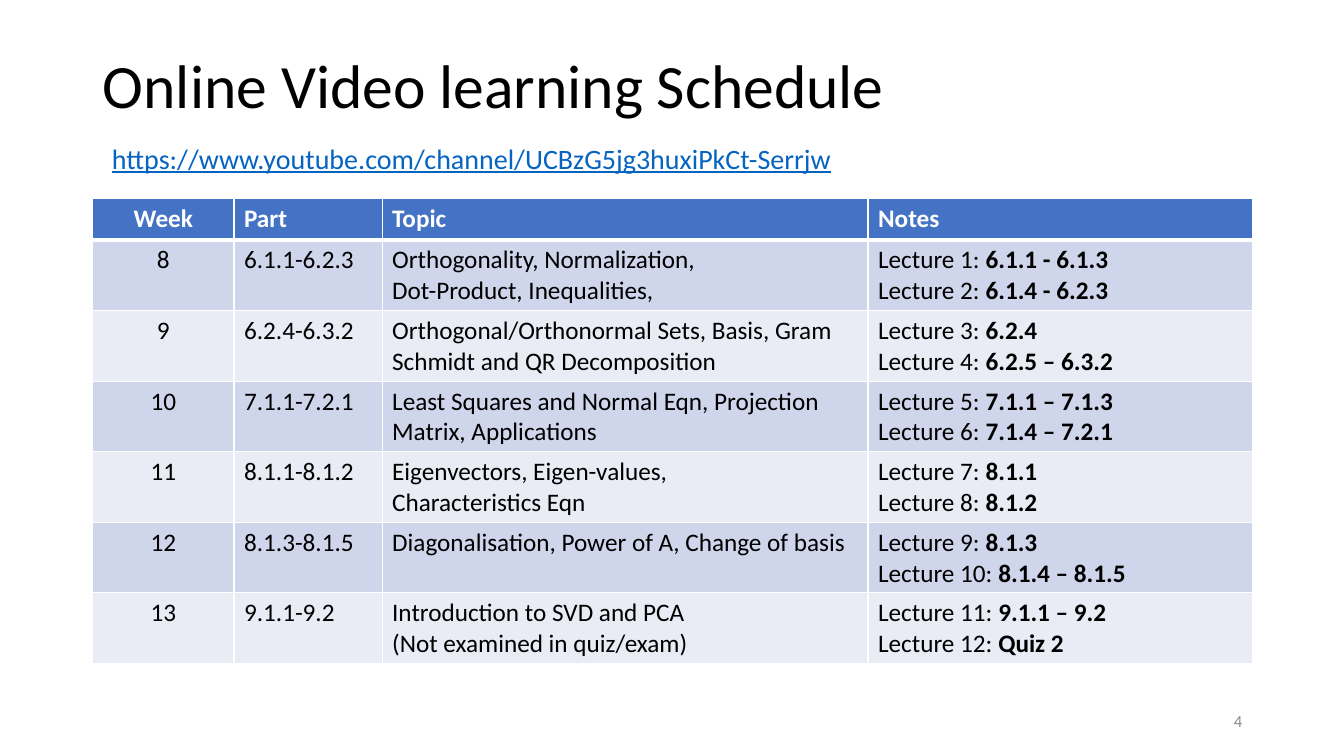
from lxml import etree
from pptx import Presentation
from pptx.dml.color import RGBColor
from pptx.enum import text as t
from pptx.oxml.ns import qn
from pptx.util import Inches, Pt

BLACK = RGBColor(0x00, 0x00, 0x00)
WHITE = RGBColor(0xFF, 0xFF, 0xFF)
GREY = RGBColor(0x8C, 0x8C, 0x8C)
LINK = RGBColor(0x05, 0x63, 0xC1)
HEADER = RGBColor(0x44, 0x72, 0xC4)
BANDS = [RGBColor(0xE9, 0xEB, 0xF5), RGBColor(0xCF, 0xD5, 0xEA)]

WIDTHS = [1.4, 1.47, 4.82, 3.81]
HEADINGS = ["Week", "Part", "Topic", "Notes"]
# Week, part, topic paragraphs (\v breaks a line), the two lectures' contents
WEEKS = [
    ("8", "6.1.1-6.2.3", "Orthogonality, Normalization,\vDot-Product, Inequalities,",
     ["6.1.1 - 6.1.3", "6.1.4 - 6.2.3"]),
    ("9", "6.2.4-6.3.2",
     "Orthogonal/Orthonormal Sets, Basis, Gram Schmidt and QR Decomposition",
     ["6.2.4", "6.2.5 – 6.3.2"]),
    ("10", "7.1.1-7.2.1", "Least Squares and Normal Eqn, Projection Matrix, Applications",
     ["7.1.1 – 7.1.3", "7.1.4 – 7.2.1"]),
    ("11", "8.1.1-8.1.2", "Eigenvectors, Eigen-values, \vCharacteristics Eqn",
     ["8.1.1", "8.1.2"]),
    ("12", "8.1.3-8.1.5", "Diagonalisation, Power of A, Change of basis",
     ["8.1.3", "8.1.4 – 8.1.5"]),
    ("13", "9.1.1-9.2", "Introduction to SVD and PCA\n(Not examined in quiz/exam)",
     ["9.1.1 – 9.2", "Quiz 2"]),
]


def style(r, size, color, **formats):
    r.font.color.rgb = color
    for name, value in {"name": "Calibri", "size": Pt(size), **formats}.items():
        setattr(r.font, name, value)


def add_borders(cell, bottom):
    tcPr = cell._tc.get_or_add_tcPr()
    for i, (side, width) in enumerate([("lnL", 1), ("lnR", 1), ("lnT", 1), ("lnB", bottom)]):
        ln = etree.Element(qn("a:" + side), w=str(Pt(width)))
        fill = etree.SubElement(ln, qn("a:solidFill"))
        etree.SubElement(fill, qn("a:srgbClr"), val=str(WHITE))
        tcPr.insert(i, ln)


prs = Presentation()
prs.slide_width, prs.slide_height = Inches(13.33), Inches(7.5)
s = prs.slides.add_slide(prs.slide_layouts[5])

# Title
title = s.shapes.title
title.left, title.top, title.width, title.height = map(Inches, (0.92, 0.15, 11.5, 1.45))
tf = title.text_frame
tf.text = "Online Video learning Schedule"
tf.vertical_anchor = t.MSO_ANCHOR.MIDDLE
tf.auto_size = t.MSO_AUTO_SIZE.NONE
p = tf.paragraphs[0]
p.alignment, p.line_spacing = t.PP_ALIGN.LEFT, 0.9
style(p.runs[0], 44, BLACK)

# Slide number
tf = s.shapes.add_textbox(*map(Inches, (9.42, 6.95, 3, 0.4))).text_frame
tf.word_wrap = True
tf.vertical_anchor = t.MSO_ANCHOR.MIDDLE
tf.text = "4"
tf.paragraphs[0].alignment = t.PP_ALIGN.RIGHT
style(tf.paragraphs[0].runs[0], 12, GREY)

# Schedule table
table = s.shapes.add_table(len(WEEKS) + 1, len(WIDTHS),
                           *map(Inches, (0.92, 1.97, 11.5, 4.61))).table
for col, width in zip(table.columns, WIDTHS):
    col.width = Inches(width)
for i, row in enumerate(table.rows):
    row.height = Inches(0.7 if i else 0.41)
    for j, cell in enumerate(row.cells):
        cell.fill.solid()
        cell.fill.fore_color.rgb = BANDS[i % 2] if i else HEADER
        add_borders(cell, 1 if i else 3)
        tf = cell.text_frame
        if i and j == 3:
            for k, content in enumerate(WEEKS[i - 1][3]):
                p = tf.add_paragraph() if k else tf.paragraphs[0]
                for words, bold in [(f"Lecture {2 * i - 1 + k}: ", False), (content, True)]:
                    r = p.add_run()
                    r.text = words
                    style(r, 18, BLACK, bold=bold)
            continue
        tf.text = WEEKS[i - 1][j] if i else HEADINGS[j]
        for p in tf.paragraphs:
            p.alignment = t.PP_ALIGN.LEFT if j else t.PP_ALIGN.CENTER
            for r in p.runs:
                style(r, 18, BLACK if i else WHITE, bold=i == 0)

# Channel address
tf = s.shapes.add_textbox(*map(Inches, (0.51, 1.35, 8.58, 0.44))).text_frame
tf.word_wrap = True
tf.margin_left = Inches(0.6)
tf.text = "https://www.youtube.com/channel/UCBzG5jg3huxiPkCt-Serrjw"
style(tf.paragraphs[0].runs[0], 20, LINK, underline=True)

prs.save("out.pptx")
